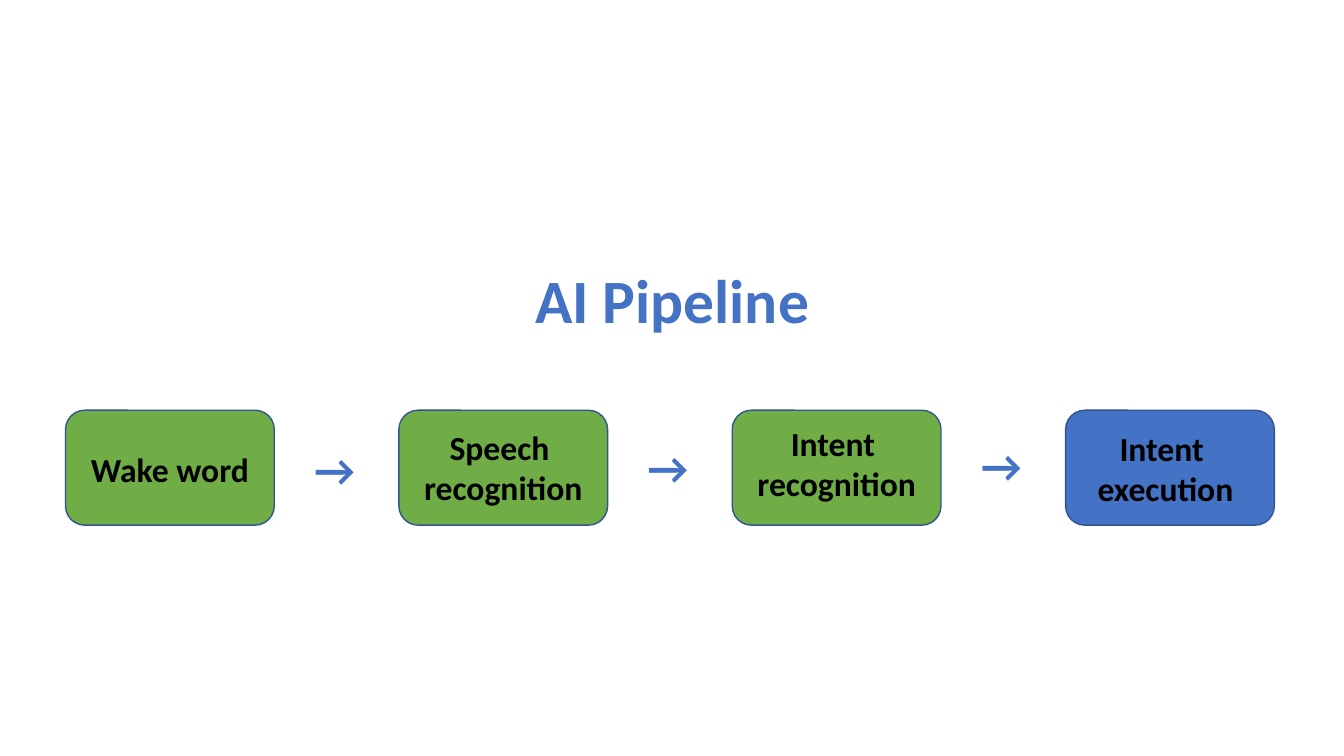
from pptx import Presentation
from pptx.dml.color import RGBColor
from pptx.enum.shapes import MSO_SHAPE
from pptx.enum.text import MSO_ANCHOR, MSO_AUTO_SIZE, PP_ALIGN
from pptx.util import Inches, Pt

WIDE, HIGH = Inches(13.33), Inches(7.5)
COLORS = {"blue": "4472C4", "green": "70AD47", "edge": "325491", "ink": "000000"}
STAGES = [
    (["Wake word"], "green", 13.35, 0, 0.13),
    (["Speech ", "recognition"], "green", 13.43, 0, -0.07),
    (["Intent ", "recognition"], "green", 13.43, 0, -0.6),
    (["Intent ", "execution"], "blue", 11.7, -0.34, 0.07),
]


def color(name):
    return RGBColor.from_string(COLORS[name])


def area(left, top, width, height):
    return (int(WIDE * left / 100), int(HIGH * top / 100),
            int(WIDE * width / 100), int(HIGH * height / 100))


def around(x, y, width, height):
    return area(x - width / 2, y - height / 2, width, height)


def write(shape, lines, size=24, ink="ink", align=PP_ALIGN.CENTER, wrap=False):
    frame = shape.text_frame
    frame.text = "\n".join(lines)
    frame.auto_size = MSO_AUTO_SIZE.NONE
    frame.word_wrap = wrap
    frame.vertical_anchor = MSO_ANCHOR.MIDDLE
    for para in frame.paragraphs:
        para.alignment = align
        for run in para.runs:
            font = run.font
            font.name, font.size, font.bold = "Calibri", Pt(size), True
            font.color.rgb = color(ink)


def heading(slide, box):
    title = slide.shapes.title
    title.left, title.top, title.width, title.height = area(*box)
    write(title, ["AI Pipeline"], size=44, ink="blue", wrap=True)


def pipeline(slide, box):
    left, top, width, height = box
    card = 15.53
    step = (width - card) / (len(STAGES) - 1)
    middle = top + height / 2
    shapes = slide.shapes
    for i, (lines, fill, span, dx, dy) in enumerate(STAGES):
        x = left + i * step
        tile = shapes.add_shape(MSO_SHAPE.ROUNDED_RECTANGLE,
                                *area(x, top, card, height))
        tile.shadow.inherit = False
        tile.fill.solid()
        tile.fill.fore_color.rgb = color(fill)
        tile.line.color.rgb = color("edge")
        tile.line.width = Pt(1)
        center = x + card / 2
        tall = 6.67 if len(lines) == 1 else 12.13
        label = shapes.add_textbox(*around(center + dx, middle + dy, span, tall))
        write(label, lines)
        if i < len(STAGES) - 1:
            arrow = shapes.add_textbox(
                *around(center + step / 2, middle + 0.13 - 0.27 * i, 4.8, 8.53))
            write(arrow, ["→"], size=32, ink="blue", align=PP_ALIGN.LEFT)


def main():
    deck = Presentation()
    deck.slide_width, deck.slide_height = WIDE, HIGH
    slide = deck.slides.add_slide(deck.slide_layouts[5])
    heading(slide, (13.35, 31.07, 73.37, 16.93))
    pipeline(slide, (4.88, 54.27, 89.94, 15.2))
    deck.save("out.pptx")


if __name__ == "__main__":
    main()
